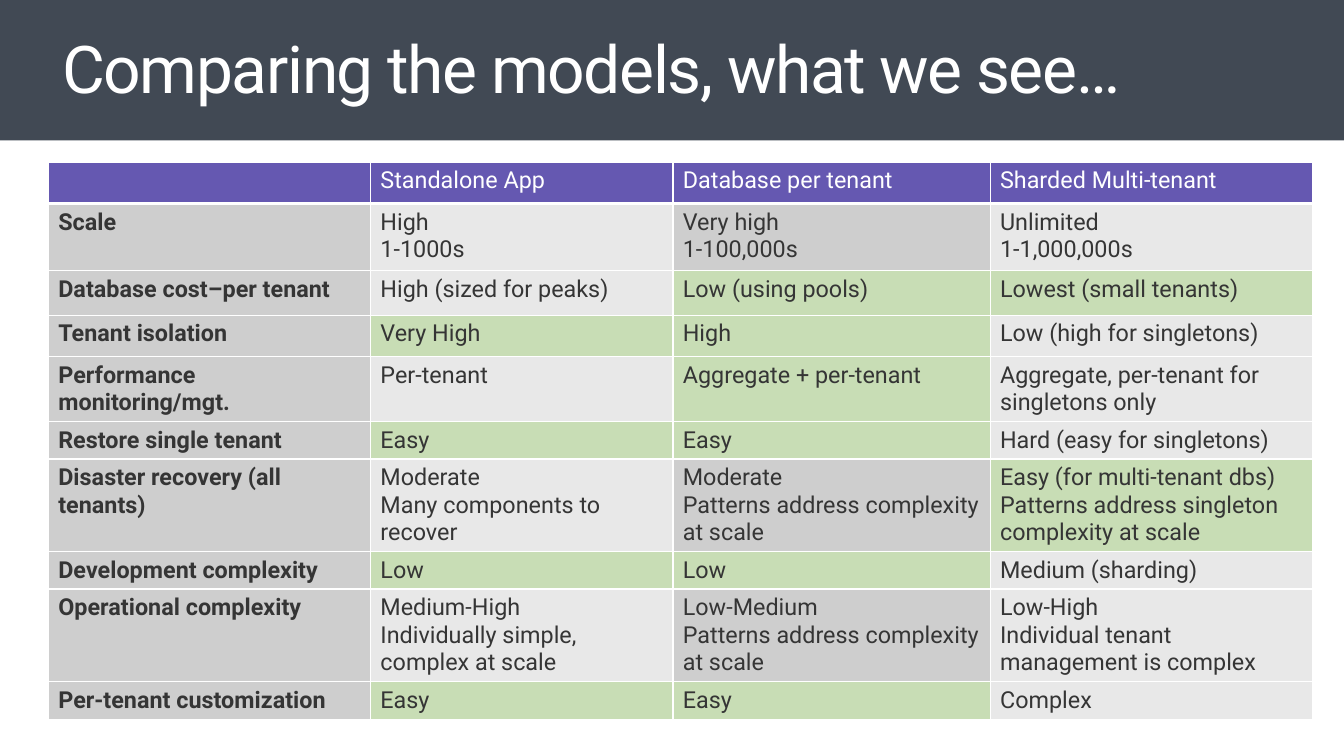
from lxml.etree import SubElement
from pptx import Presentation
from pptx.dml.color import RGBColor
from pptx.enum.shapes import MSO_SHAPE
from pptx.enum.text import MSO_ANCHOR, MSO_AUTO_SIZE, PP_ALIGN
from pptx.oxml.ns import qn
from pptx.util import Inches, Pt

TITLE = "Comparing the models, what we see…"
HEADER = ("", "Standalone App", "Database per tenant", "Sharded Multi-tenant")
# Each row: height, columns marked as favourable, cell texts
ROWS = [
    (0.68, (), ("Scale", "High\n1-1000s", "Very high\n1-100,000s",
                "Unlimited\n1-1,000,000s")),
    (0.45, (2, 3), ("Database cost–per tenant", "High (sized for peaks)",
                    "Low (using pools)", "Lowest (small tenants)")),
    (0.42, (1, 2), ("Tenant isolation", "Very High", "High",
                    "Low (high for singletons)")),
    (0.6, (2,), ("Performance monitoring/mgt.", "Per-tenant",
                 "Aggregate + per-tenant",
                 "Aggregate, per-tenant for singletons only")),
    (0.35, (1, 2), ("Restore single tenant", "Easy", "Easy",
                    "Hard (easy for singletons)")),
    (0.85, (3,), ("Disaster recovery (all tenants)",
                  "Moderate\nMany components to recover",
                  "Moderate\nPatterns address complexity at scale",
                  "Easy (for multi-tenant dbs)\n"
                  "Patterns address singleton complexity at scale")),
    (0.35, (1, 2), ("Development complexity", "Low", "Low",
                    "Medium (sharding)")),
    (0.92, (), ("Operational complexity",
                "Medium-High\nIndividually simple, complex at scale",
                "Low-Medium\nPatterns address complexity at scale",
                "Low-High\nIndividual tenant management is complex")),
    (0.39, (1, 2), ("Per-tenant customization", "Easy", "Easy", "Complex")),
]
HEADER_HEIGHT = 0.42
COLUMN_WIDTHS = (3.26, 3.06, 3.21, 3.26)
COLUMN_FILLS = ("CECECE", "E8E8E8", "CECECE", "E8E8E8")
PURPLE, GREEN, SLATE = "6558B1", "C8DDB5", "414954"
WHITE, INK = "FFFFFF", "353535"


def color(value):
    return RGBColor.from_string(value)


def paint(item, value):
    item.fill.solid()
    item.fill.fore_color.rgb = color(value)


def style_font(font, **values):
    font.name = "Roboto"
    font.color.rgb = color(values.pop("ink"))
    for name, value in values.items():
        setattr(font, name, value)


def add_borders(cell, bottom):
    """Draw white cell edges, 1 pt except for the given bottom width."""
    properties = cell._tc.get_or_add_tcPr()
    widths = {"a:lnL": 1, "a:lnR": 1, "a:lnT": 1, "a:lnB": bottom}
    for index, (tag, width) in enumerate(widths.items()):
        line = SubElement(properties, qn(tag), w=str(Pt(width)))
        fill = SubElement(line, qn("a:solidFill"))
        SubElement(fill, qn("a:srgbClr"), val=WHITE)
        properties.insert(index, line)


def fill_cell(cell, text, fill, ink, bold=False, bottom=1):
    cell.text = text
    paint(cell, fill)
    add_borders(cell, bottom)
    for para in cell.text_frame.paragraphs:
        for span in para.runs:
            style_font(span.font, ink=ink, size=Pt(17), bold=bold)


def add_title(page):
    band = page.shapes.add_shape(MSO_SHAPE.RECTANGLE, 0, 0, Inches(13.6), Inches(1.42))
    paint(band, SLATE)
    band.line.fill.background()
    band.shadow.inherit = False

    title = page.shapes.title
    box = dict(left=0.47, top=0.23, width=12.84, height=1)
    for name, value in box.items():
        setattr(title, name, Inches(value))
    title._element.addprevious(band._element)

    frame = title.text_frame
    frame.text = TITLE
    settings = dict(margin_left=Inches(0.16), margin_right=Inches(0.16),
                    margin_top=Inches(0.1), margin_bottom=Inches(0.1),
                    vertical_anchor=MSO_ANCHOR.MIDDLE, word_wrap=True,
                    auto_size=MSO_AUTO_SIZE.NONE)
    for name, value in settings.items():
        setattr(frame, name, value)
    para = frame.paragraphs[0]
    para.alignment = PP_ALIGN.LEFT
    para.line_spacing = 0.9
    span = para.runs[0]
    style_font(span.font, ink=WHITE, size=Pt(48))
    span.font._element.set("spc", "-100")


def add_comparison(page):
    heights = [HEADER_HEIGHT] + [height for height, _, _ in ROWS]
    table = page.shapes.add_table(
        len(heights), len(COLUMN_WIDTHS), Inches(0.49), Inches(1.64),
        Inches(sum(COLUMN_WIDTHS)), Inches(sum(heights))).table
    table.horz_banding = False
    for column, width in zip(table.columns, COLUMN_WIDTHS):
        column.width = Inches(width)
    for row, height in zip(table.rows, heights):
        row.height = Inches(height)

    for col, text in enumerate(HEADER):
        fill_cell(table.cell(0, col), text, PURPLE, WHITE, bottom=3)
    for row, (_, favourable, texts) in enumerate(ROWS, start=1):
        for col, text in enumerate(texts):
            fill = GREEN if col in favourable else COLUMN_FILLS[col]
            fill_cell(table.cell(row, col), text, fill, INK, bold=col == 0)


def main():
    deck = Presentation()
    deck.slide_width, deck.slide_height = Inches(13.6), Inches(7.65)
    page = deck.slides.add_slide(deck.slide_layouts[5])
    add_title(page)
    add_comparison(page)
    deck.save("out.pptx")


if __name__ == "__main__":
    main()
